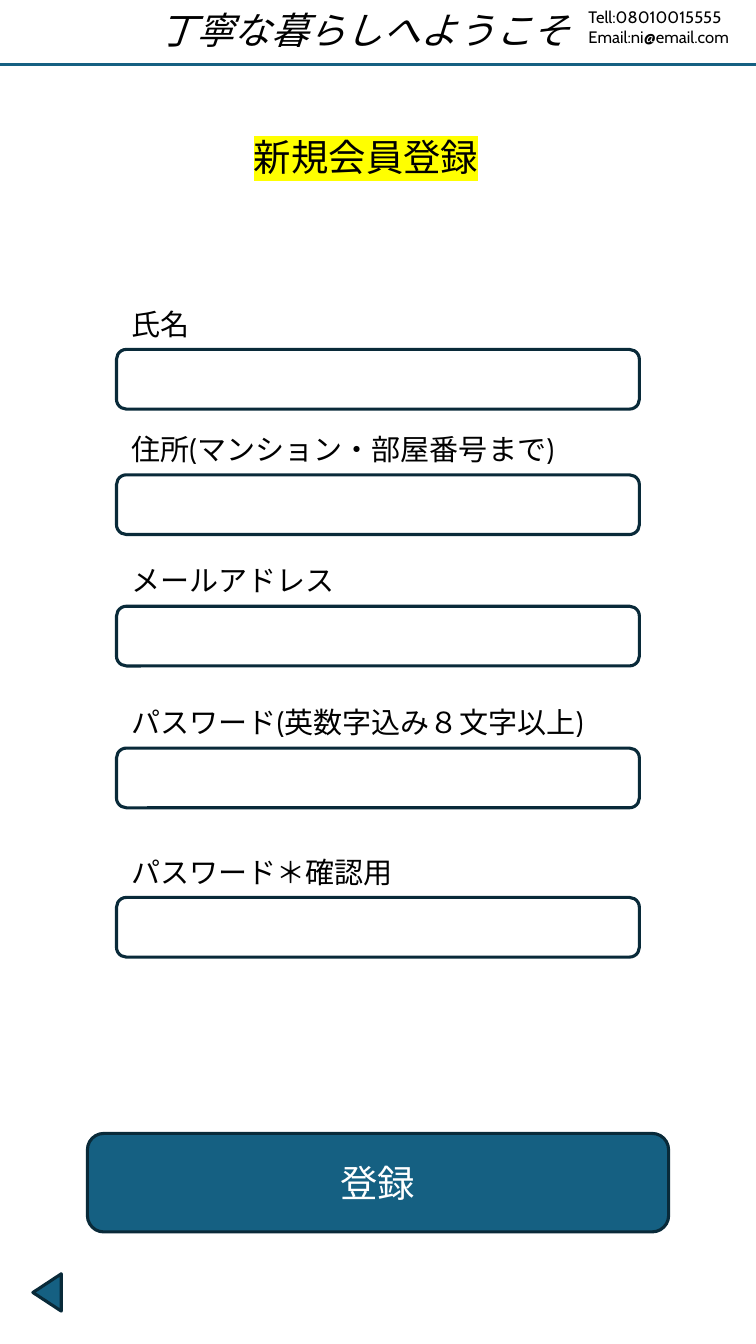
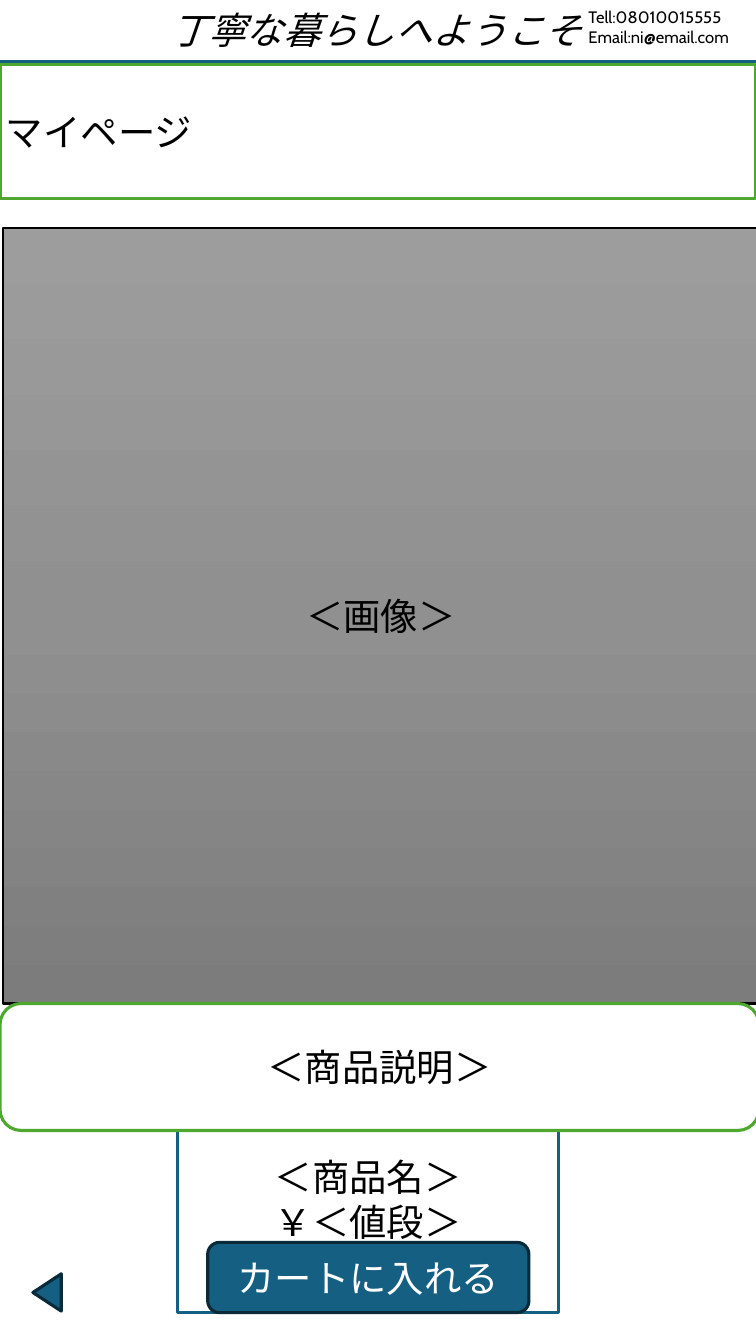
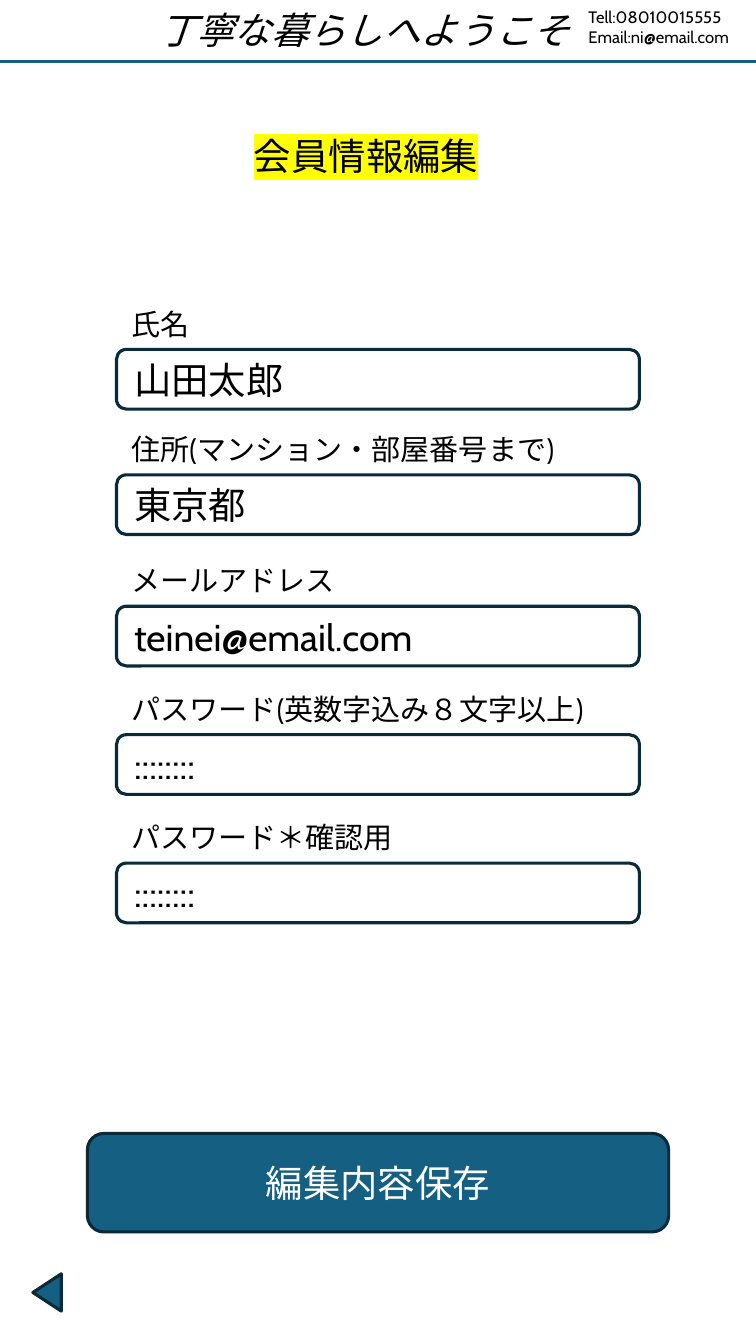
"""Build three phone-sized shop screens: sign-up, product page and profile editing."""
from dataclasses import dataclass

from lxml import etree
from pptx import Presentation
from pptx.dml.color import RGBColor
from pptx.enum.lang import MSO_LANGUAGE_ID
from pptx.enum.shapes import MSO_CONNECTOR, MSO_SHAPE
from pptx.enum.text import MSO_ANCHOR, MSO_AUTO_SIZE, PP_ALIGN
from pptx.oxml.ns import qn
from pptx.util import Inches, Pt

LEFT, CENTER, JUSTIFY = PP_ALIGN.LEFT, PP_ALIGN.CENTER, PP_ALIGN.JUSTIFY
TOP, MIDDLE = MSO_ANCHOR.TOP, MSO_ANCHOR.MIDDLE
FIT, FIXED = MSO_AUTO_SIZE.SHAPE_TO_FIT_TEXT, MSO_AUTO_SIZE.NONE
RECTANGLE, ROUNDED = MSO_SHAPE.RECTANGLE, MSO_SHAPE.ROUNDED_RECTANGLE
TRIANGLE, STRAIGHT = MSO_SHAPE.ISOSCELES_TRIANGLE, MSO_CONNECTOR.STRAIGHT
JAPANESE = MSO_LANGUAGE_ID.JAPANESE


@dataclass(frozen=True)
class Theme:
    """Colours, font and type sizes of all screens."""
    font: str = "Cabin"
    ink: str = "000000"
    paper: str = "FFFFFF"
    accent: str = "156082"
    outline: str = "092A39"
    green: str = "4EA72E"
    marker: str = "FFFF00"
    image_shades: tuple = ("9D9D9D", "909090", "7C7C7C")
    large: int = 18
    label: int = 14
    small: int = 8
    stroke: float = 1.5


THEME = Theme()
WIDTH, HEIGHT = 5.06, 9
FIELD_WIDTH, FIELD_HEIGHT, LABEL_HEIGHT = 3.5, 0.4, 0.34
BUTTON_WIDTH, BUTTON_HEIGHT = 3.89, 0.66
TEXT_HEIGHT = 0.4

WELCOME = "丁寧な暮らしへようこそ"
CONTACT = ["Tell:08010015555", "Email:ni@email.com"]
LABELS = ["氏名", "住所(マンション・部屋番号まで)", "メールアドレス",
          "パスワード(英数字込み８文字以上)", "パスワード＊確認用"]
SIGN_UP = {
    "title": "新規会員登録", "title_top": 0.85, "rule_top": 0.43, "button": "登録",
    "tops": [2.34, 3.18, 4.06, 5.01, 6.01],
    "values": [""] * len(LABELS),
}
EDIT_PROFILE = {
    "title": "会員情報編集", "title_top": 0.84, "rule_top": 0.41, "button": "編集内容保存",
    "tops": [2.34, 3.18, 4.06, 4.92, 5.78],
    "values": ["山田太郎", "東京都", "teinei@email.com", "::::::::", "::::::::"],
}
PRODUCT = {
    "title": "マイページ", "image": "＜画像＞", "description": "＜商品説明＞",
    "offer": ["＜商品名＞", "￥＜値段＞"], "button": "カートに入れる",
}


def inches(values):
    return [Inches(value) for value in values]


def write(shape, text, size=THEME.large, color=THEME.ink, align=CENTER, anchor=MIDDLE,
          italic=False, highlight=None, fit=FIXED):
    frame = shape.text_frame
    frame.word_wrap, frame.auto_size, frame.vertical_anchor = True, fit, anchor
    lines = [text] if isinstance(text, str) else text
    for index, line in enumerate(lines):
        paragraph = frame.add_paragraph() if index else frame.paragraphs[0]
        paragraph.alignment = align
        run = paragraph.add_run()
        run.text = line
        font = run.font
        font.size, font.italic, font.language_id = Pt(size), italic, JAPANESE
        font.color.rgb = RGBColor.from_string(color)
        properties = run._r.get_or_add_rPr()
        if highlight:
            marker = etree.SubElement(properties, qn("a:highlight"))
            etree.SubElement(marker, qn("a:srgbClr"), val=highlight)
        font.name = THEME.font
        etree.SubElement(properties, qn("a:ea"), typeface=THEME.font)


def add_text(slide, box, text, **text_format):
    write(slide.shapes.add_textbox(*inches(box)), text, anchor=TOP, fit=FIT, **text_format)


def add_title(slide, box, text, **text_format):
    title = slide.shapes.title
    title.left, title.top, title.width, title.height = inches(box)
    write(title, text, anchor=TOP, fit=FIT, **text_format)
    slide.shapes.element.append(title.element)


def add_box(slide, kind, box, fill=THEME.paper, line=THEME.outline, stroke=THEME.stroke,
            text="", **text_format):
    shape = slide.shapes.add_shape(kind, *inches(box))
    shape.shadow.inherit = False
    shape.fill.solid()
    shape.fill.fore_color.rgb = RGBColor.from_string(fill)
    shape.line.color.rgb = RGBColor.from_string(line)
    shape.line.width = Pt(stroke)
    if text:
        write(shape, text, **text_format)
    return shape


def add_button(slide, box, text):
    add_box(slide, ROUNDED, box, fill=THEME.accent, text=text, color=THEME.paper)


def shade(shape, colors):
    shape.fill.gradient()
    shape.fill.gradient_angle = 270
    stops = shape.element.spPr.find(".//" + qn("a:gsLst"))
    for stop in list(stops):
        stops.remove(stop)
    for index, color in enumerate(colors):
        position = 100000 * index // (len(colors) - 1)
        stop = etree.SubElement(stops, qn("a:gs"), pos=str(position))
        etree.SubElement(stop, qn("a:srgbClr"), val=color)


def add_frame(slide, rule_top, welcome_left=0.46):
    back = add_box(slide, TRIANGLE, (0.19, 8.56, 0.25, 0.19), fill=THEME.accent)
    back.rotation = 270
    add_text(slide, (welcome_left, 0, 3.96, TEXT_HEIGHT), WELCOME, italic=True)
    rule = slide.shapes.add_connector(STRAIGHT, *inches((0, rule_top, WIDTH, rule_top)))
    rule.line.color.rgb = RGBColor.from_string(THEME.accent)
    rule.line.width = Pt(THEME.stroke)
    etree.SubElement(rule._element.spPr, qn("a:effectLst"))
    add_text(slide, (3.84, 0, WIDTH - 3.84, 0.37), CONTACT, size=THEME.small, align=LEFT)


def build_form(slide, form):
    left = (WIDTH - FIELD_WIDTH) / 2
    add_title(slide, (0.7, form["title_top"], FIELD_WIDTH, TEXT_HEIGHT), form["title"],
              highlight=THEME.marker)
    for label, top, value in zip(LABELS, form["tops"], form["values"]):
        add_box(slide, ROUNDED, (left, top, FIELD_WIDTH, FIELD_HEIGHT), text=value, align=JUSTIFY)
        add_text(slide, (left, top - LABEL_HEIGHT, FIELD_WIDTH, LABEL_HEIGHT), label,
                 size=THEME.label, align=LEFT)
    add_button(slide, ((WIDTH - BUTTON_WIDTH) / 2, 7.59, BUTTON_WIDTH, BUTTON_HEIGHT),
               form["button"])
    add_frame(slide, form["rule_top"])


def build_product(slide, product):
    add_box(slide, RECTANGLE, (0, 0.43, WIDTH, 0.9), line=THEME.green)
    image = add_box(slide, RECTANGLE, (0.02, 1.53, WIDTH, 5.19), line=THEME.ink, stroke=1,
                    text=product["image"])
    shade(image, THEME.image_shades)
    offer = add_box(slide, RECTANGLE, (1.19, 7.57, 2.55, 1.22), line=THEME.accent,
                    text=product["offer"])
    offer.text_frame.margin_bottom = Inches(0.35)
    add_button(slide, (1.39, 8.32, 2.15, 0.47), product["button"])
    add_box(slide, ROUNDED, (0, 6.72, 5.08, 0.85), line=THEME.green, text=product["description"])
    add_frame(slide, 0.41, welcome_left=0.54)
    add_title(slide, (-0.06, 0.68, 1.62, TEXT_HEIGHT), product["title"], align=LEFT)


def main():
    presentation = Presentation()
    presentation.slide_width, presentation.slide_height = inches((WIDTH, HEIGHT))
    title_only = presentation.slide_layouts[5]
    screens = [(build_form, SIGN_UP), (build_product, PRODUCT), (build_form, EDIT_PROFILE)]
    for build, content in screens:
        build(presentation.slides.add_slide(title_only), content)
    presentation.save("out.pptx")


if __name__ == "__main__":
    main()
